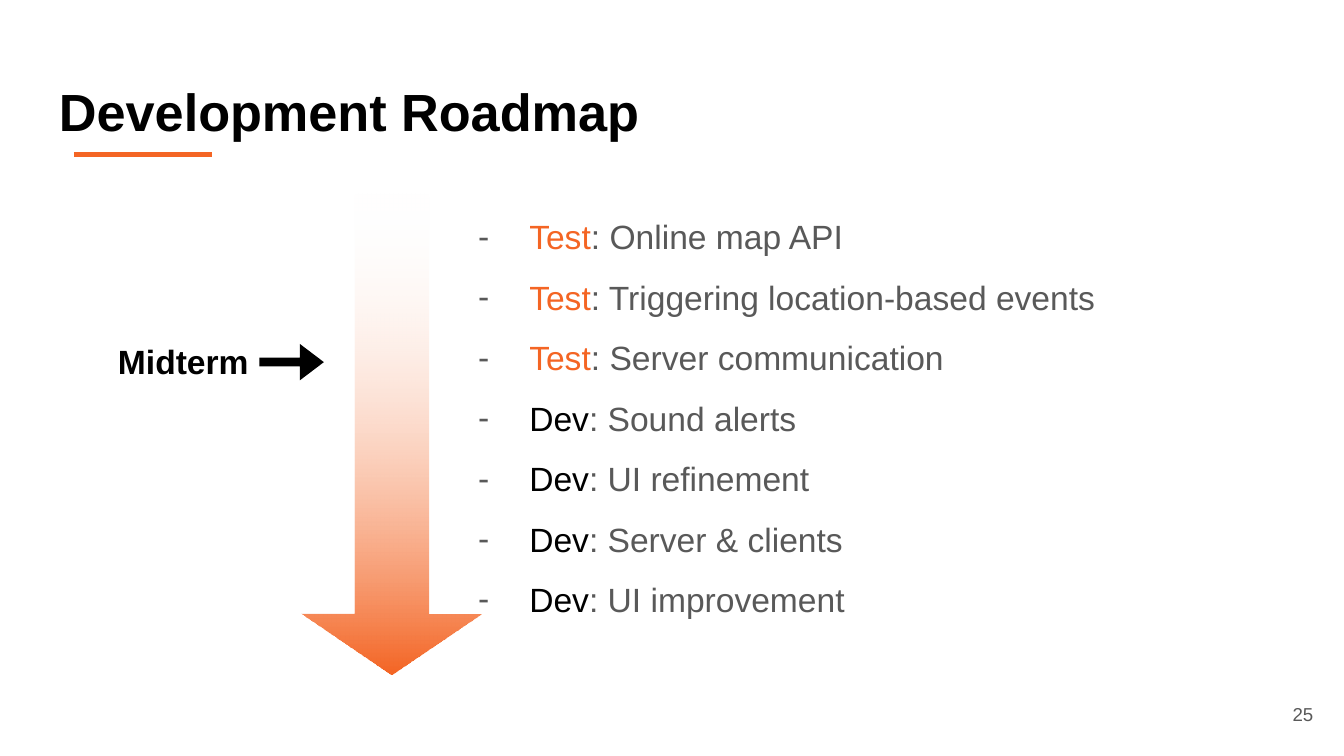
from dataclasses import dataclass

from lxml.etree import SubElement
from pptx import Presentation
from pptx.dml.color import RGBColor as RGB
from pptx.enum.shapes import MSO_CONNECTOR as LINK, MSO_SHAPE as SHAPE
from pptx.enum.text import MSO_ANCHOR as ANCHOR, PP_ALIGN as ALIGN
from pptx.oxml.ns import qn
from pptx.util import Inches, Pt


@dataclass(frozen=True)
class Theme:
    font: str = "Arial"
    black: RGB = RGB(0x00, 0x00, 0x00)
    white: RGB = RGB(0xFF, 0xFF, 0xFF)
    grey: RGB = RGB(0x59, 0x59, 0x59)
    orange: RGB = RGB(0xF4, 0x65, 0x24)
    title: Pt = Pt(28)
    body: Pt = Pt(18)
    small: Pt = Pt(10)


THEME = Theme()

STEPS = [
    ("Test", "Online map API"),
    ("Test", "Triggering location-based events"),
    ("Test", "Server communication"),
    ("Dev", "Sound alerts"),
    ("Dev", "UI refinement"),
    ("Dev", "Server & clients"),
    ("Dev", "UI improvement"),
]
TAGS = {"Test": THEME.orange, "Dev": THEME.black}


def add_frame(slide, box, anchor=ANCHOR.TOP):
    frame = slide.shapes.add_textbox(*map(Inches, box)).text_frame
    frame.word_wrap = True
    frame.vertical_anchor = anchor
    frame.margin_left = frame.margin_right = Inches(0.1)
    frame.margin_top = frame.margin_bottom = Inches(0.1)
    return frame


def style(para, size, color, bold=False):
    font = para.font
    font.name, font.size, font.bold = THEME.font, size, bold
    font.color.rgb = color


def add_label(slide, box, text, size, color, bold=False,
              align=ALIGN.LEFT, anchor=ANCHOR.TOP):
    para = add_frame(slide, box, anchor).paragraphs[0]
    para.alignment = align
    style(para, size, color, bold)
    para.add_run().text = text


def add_dash(para):
    """Give the paragraph a hanging grey dash as its bullet."""
    props = para._p.get_or_add_pPr()
    props.set("marL", str(Inches(0.5)))
    props.set("indent", str(Inches(-0.38)))
    color = props.makeelement(qn("a:buClr"), {})
    SubElement(color, qn("a:srgbClr"), val=str(THEME.grey))
    face = props.makeelement(qn("a:buFont"), {"typeface": THEME.font})
    char = props.makeelement(qn("a:buChar"), {"char": "-"})
    # The schema wants bullets ahead of the default run properties.
    last = props.find(qn("a:defRPr"))
    for part in (color, face, char):
        last.addprevious(part)


def add_steps(slide, box):
    frame = add_frame(slide, box)
    for i, (tag, task) in enumerate(STEPS):
        para = frame.add_paragraph() if i else frame.paragraphs[0]
        para.line_spacing = 1.5
        style(para, THEME.body, THEME.grey)
        add_dash(para)
        head = para.add_run()
        head.text = tag
        head.font.color.rgb = TAGS[tag]
        para.add_run().text = f": {task}"


def add_rule(slide, left, right, y):
    rule = slide.shapes.add_connector(
        LINK.STRAIGHT, Inches(left), Inches(y), Inches(right), Inches(y))
    rule.line.color.rgb = THEME.orange
    rule.line.width = Pt(2.25)
    SubElement(rule._element.spPr, qn("a:effectLst"))


def add_arrow(slide, kind, box, shaft, head):
    arrow = slide.shapes.add_shape(kind, *map(Inches, box))
    arrow.adjustments[0], arrow.adjustments[1] = shaft, head
    arrow.shadow.inherit = False
    arrow.line.fill.background()
    return arrow


def fade_down(shape, color):
    """Fill the shape from clear at the top to the color at the bottom."""
    fill = shape.fill
    fill.gradient()
    fill.gradient_angle = 270
    start, end = fill.gradient_stops
    start.position, end.position = 0, 1
    start.color.rgb, end.color.rgb = THEME.white, color
    clear = fill._xPr.find(".//" + qn("a:srgbClr"))
    SubElement(clear, qn("a:alpha"), val="0")


def main():
    deck = Presentation()
    deck.slide_width = Inches(10)
    deck.slide_height = deck.slide_width * 9 // 16
    slide = deck.slides.add_slide(deck.slide_layouts[6])

    add_rule(slide, 0.55, 1.58, 1.15)
    add_label(slide, (0.34, 0.49, 9.32, 0.63), "Development Roadmap",
              THEME.title, THEME.black, bold=True)
    add_steps(slide, (3.34, 1.36, 5.37, 4.27))
    add_label(slide, (9.27, 5.1, 0.6, 0.43), "25", THEME.small, THEME.grey,
              align=ALIGN.RIGHT, anchor=ANCHOR.MIDDLE)

    mark = add_arrow(slide, SHAPE.RIGHT_ARROW, (1.93, 2.56, 0.48, 0.27),
                     0.24, 0.66)
    mark.fill.solid()
    mark.fill.fore_color.rgb = THEME.black
    add_label(slide, (0.78, 2.44, 1.26, 0.5), "Midterm",
              THEME.body, THEME.black, bold=True)

    course = add_arrow(slide, SHAPE.DOWN_ARROW, (2.24, 1.42, 1.34, 3.6),
                       0.41, 0.34)
    fade_down(course, THEME.orange)

    deck.save("out.pptx")


if __name__ == "__main__":
    main()
